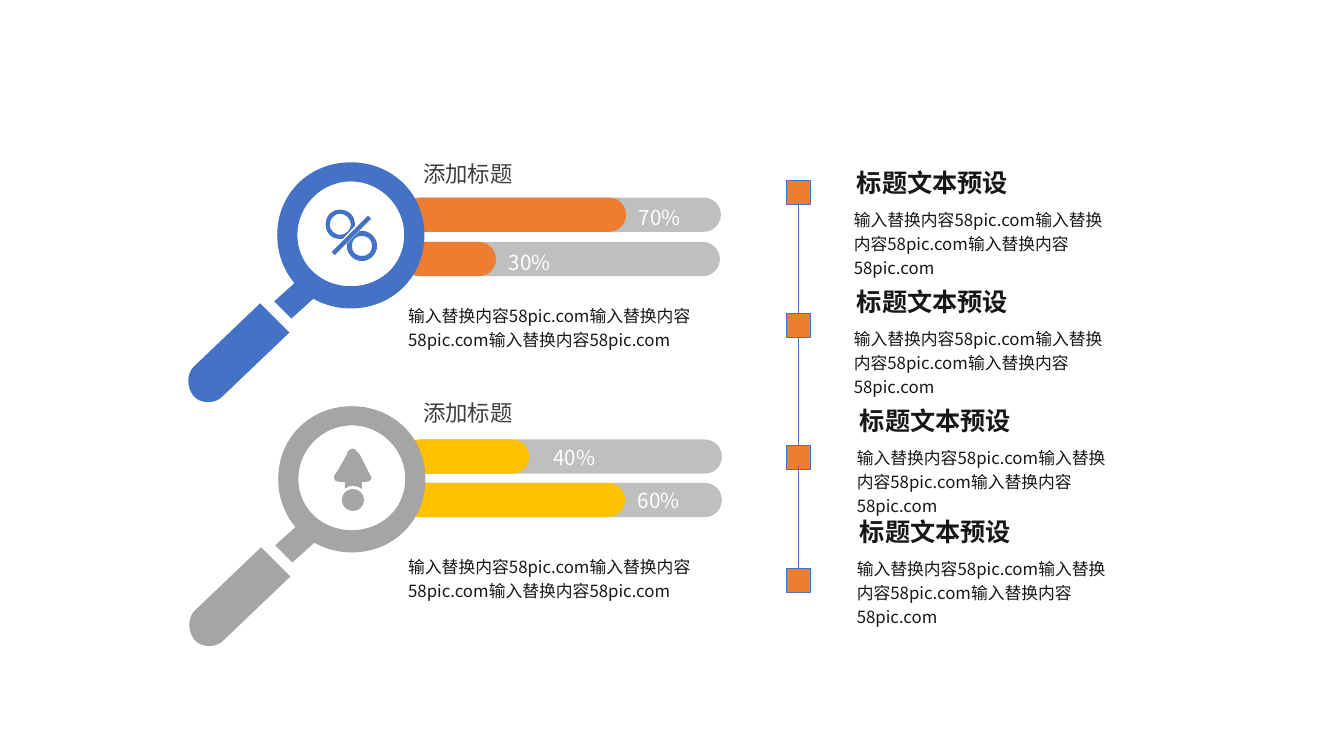
from dataclasses import dataclass

from lxml import etree
from pptx import Presentation
from pptx import util as u
from pptx.dml.color import RGBColor
from pptx.enum import shapes, text
from pptx.oxml.ns import qn


@dataclass(frozen=True)
class Theme:
    font: str = "Noto Sans CJK SC"
    blue: str = "4472C4"
    orange: str = "ED7D31"
    gray: str = "A5A5A5"
    gold: str = "FFC000"
    track: str = "BFBFBF"
    white: str = "FFFFFF"
    heading: str = "404040"
    ink: str = "181717"
    percent_size: float = 14.7
    heading_size: float = 16
    step_size: float = 18
    body_size: float = 12


COLUMNS, ROWS = 13.33, 7.5
theme = Theme()
prs = Presentation()
prs.slide_width, prs.slide_height = u.Inches(COLUMNS), u.Inches(ROWS)
cell = prs.slide_height / ROWS
slide = prs.slides.add_slide(prs.slide_layouts[6])


def write(parent, words, box, size, color, bold=None, wrap=True, insets=(0.1, 0.05), spacing=None, align=None):
    frame = parent.add_textbox(*[round(v * cell) for v in box]).text_frame
    frame.word_wrap = wrap
    frame.margin_left = frame.margin_right = u.Inches(insets[0])
    frame.margin_top = frame.margin_bottom = u.Inches(insets[1])
    paragraph = frame.paragraphs[0]
    paragraph.line_spacing, paragraph.alignment = spacing, align
    run = paragraph.add_run()
    run.text = words
    run.font.name, run.font.size, run.font.bold = theme.font, u.Pt(size), bold
    run.font.color.rgb = RGBColor.from_string(color)
    etree.SubElement(run.font._element, qn("a:ea")).set("typeface", theme.font)


def outline(parent, contours, dx, dy):
    builder = None
    for start, *pieces in contours:
        x, y = (start[0] + dx) * cell, (start[1] + dy) * cell
        if builder is None:
            builder = parent.build_freeform(x, y)
        else:
            builder.move_to(x, y)
        points = [piece[n:n + 2] for piece in pieces for n in range(0, len(piece), 2)]
        builder.add_line_segments([((px + dx) * cell, (py + dy) * cell) for px, py in points], close=True)
    drawn = builder.convert_to_shape()
    segments = iter(list(drawn._element.iter(qn("a:lnTo"))))
    for start, *pieces in contours:
        for piece in pieces:
            segment = next(segments)
            if len(piece) == 6:
                segment.tag = qn("a:cubicBezTo")
                for follower in (next(segments), next(segments)):
                    segment.append(follower[0])
                    follower.getparent().remove(follower)
    return drawn


bars = [
    ("70%", 4, 4, 1.96, 2.21, theme.orange, 6.19, 1.94, 0.71),
    ("30%", 3.99, 3.99, 2.4, 0.93, theme.orange, 4.9, 2.39, 0.71),
    ("40%", 4.01, 3.99, 4.36, 1.26, theme.gold, 5.22, 4.32, 0.95),
    ("60%", 4.01, 3.99, 4.79, 2.21, theme.gold, 6.18, 4.75, 0.71),
]
for percent, track_x, value_x, bar_y, value_width, value_color, label_x, label_y, label_width in bars:
    bar = slide.shapes.add_group_shape().shapes
    for x, width, color in [(track_x, 3.15, theme.track), (value_x, value_width, value_color)]:
        pill = bar.add_shape(shapes.MSO_SHAPE.ROUNDED_RECTANGLE,
                             *[round(v * cell) for v in (x, bar_y, width, 0.34)])
        pill.adjustments[0] = 0.5
        pill.shadow.inherit = False
        pill.fill.solid()
        pill.fill.fore_color.rgb = RGBColor.from_string(color)
        pill.line.fill.background()
    write(bar, percent, (label_x, label_y, label_width, 0.38), theme.percent_size, theme.white,
          insets=(0, 0.04), spacing=1.2, align=text.PP_ALIGN.CENTER)

neck = [[(3.18, 2.9), (2.89, 3.16), (2.72, 2.99), (3.02, 2.72)]]
ring = [
    [(3.48, 1.61), (3.07, 1.61, 2.75, 1.92, 2.75, 2.33), (2.75, 2.75, 3.07, 3.06, 3.48, 3.06),
     (3.89, 3.06, 4.21, 2.75, 4.21, 2.33), (4.21, 1.92, 3.89, 1.61, 3.48, 1.61)],
    [(3.48, 2.84), (3.19, 2.84, 2.95, 2.63, 2.95, 2.33), (2.95, 2.04, 3.19, 1.8, 3.48, 1.8),
     (3.77, 1.8, 4.01, 2.04, 4.01, 2.33), (4.01, 2.63, 3.77, 2.84, 3.48, 2.84)],
]
grip = [[(2.58, 3.01), (1.92, 3.64), (1.85, 3.71, 1.85, 3.84, 1.92, 3.93),
         (1.99, 4.01, 2.14, 4.01, 2.21, 3.93), (2.87, 3.3)]]
lower_zero = [
    [(3.59, 2.29), (3.57, 2.29), (3.44, 2.42), (3.44, 2.44), (3.44, 2.52, 3.51, 2.59, 3.59, 2.59),
     (3.67, 2.59, 3.74, 2.52, 3.74, 2.44), (3.74, 2.36, 3.67, 2.29, 3.59, 2.29)],
    [(3.59, 2.54), (3.53, 2.54, 3.49, 2.5, 3.49, 2.44), (3.49, 2.38, 3.53, 2.34, 3.59, 2.34),
     (3.65, 2.34, 3.69, 2.38, 3.69, 2.44), (3.69, 2.5, 3.65, 2.54, 3.59, 2.54)],
]
upper_zero = [
    [(3.52, 2.23), (3.52, 2.14, 3.46, 2.08, 3.37, 2.08), (3.29, 2.08, 3.23, 2.14, 3.23, 2.23),
     (3.23, 2.31, 3.29, 2.37, 3.37, 2.37), (3.4, 2.37), (3.52, 2.24)],
    [(3.37, 2.33), (3.32, 2.33, 3.27, 2.28, 3.27, 2.23), (3.27, 2.17, 3.32, 2.12, 3.37, 2.12),
     (3.43, 2.12, 3.48, 2.17, 3.48, 2.23), (3.48, 2.28, 3.43, 2.33, 3.37, 2.33)],
]
slash = [[(3.68, 2.17), (3.32, 2.53), (3.29, 2.5), (3.65, 2.14)]]
arrow = [[(3.65, 2.25), (3.57, 2.09), (3.54, 2.06), (3.52, 2.02, 3.48, 2.02, 3.45, 2.06), (3.44, 2.09),
          (3.35, 2.25), (3.32, 2.29), (3.3, 2.33, 3.32, 2.36, 3.37, 2.36), (3.42, 2.36), (3.42, 2.43),
          (3.44, 2.41, 3.47, 2.4, 3.5, 2.4), (3.53, 2.4, 3.56, 2.41, 3.59, 2.43), (3.59, 2.36),
          (3.63, 2.36), (3.68, 2.36, 3.7, 2.32, 3.67, 2.29)]]
dot = [[(3.5, 2.43), (3.44, 2.43, 3.39, 2.48, 3.39, 2.54), (3.39, 2.6, 3.44, 2.65, 3.5, 2.65),
        (3.56, 2.65, 3.61, 2.6, 3.61, 2.54), (3.61, 2.48, 3.56, 2.43, 3.5, 2.43)]]

body = "输入替换内容58pic.com" * 3
lenses = [
    (theme.blue, 0, 0, [lower_zero, upper_zero, slash], 1.54, 2.94),
    (theme.gray, 0.01, 2.42, [arrow, dot], 3.91, 5.43),
]
for color, dx, dy, icon, heading_y, body_y in lenses:
    lens = slide.shapes.add_group_shape().shapes
    parts = [outline(lens, part, dx, dy) for part in (neck, ring, grip)]
    parts += [outline(lens, part, 0, dy) for part in icon]
    for part in parts:
        part.shadow.inherit = False
        part.fill.solid()
        part.fill.fore_color.rgb = RGBColor.from_string(color)
        part.line.fill.background()
    write(slide.shapes, "添加标题", (4.1, heading_y, 1.1, 0.37), theme.heading_size, theme.heading, wrap=False)
    write(slide.shapes, body, (3.95, body_y, 3.07, 0.56), theme.body_size, theme.ink, spacing=1.2)

steps = [
    (1.79, 2.03, 8.4, 1.61),
    (3.11, 3.34, 8.4, 2.79),
    (4.42, 4.62, 8.43, 3.97),
    (5.64, None, 8.43, 5.07),
]
for marker_y, link_y, step_x, step_y in steps:
    marker = slide.shapes.add_shape(shapes.MSO_SHAPE.RECTANGLE,
                                    *[round(v * cell) for v in (7.8, marker_y, 0.24, 0.24)])
    marker.shadow.inherit = False
    marker.fill.solid()
    marker.fill.fore_color.rgb = RGBColor.from_string(theme.orange)
    marker.line.color.rgb = RGBColor.from_string(theme.blue)
    marker.line.width = u.Pt(1)
    if link_y:
        link = slide.shapes.add_connector(shapes.MSO_CONNECTOR.STRAIGHT,
                                          *[round(v * cell) for v in (7.92, link_y, 7.92, link_y + 1.08)])
        link.line.color.rgb = RGBColor.from_string(theme.blue)
        link.line.width = u.Pt(0.5)
        etree.SubElement(link._element.spPr, qn("a:effectLst"))
    write(slide.shapes, body, (step_x - 0.03, step_y + 0.38, 2.77, 0.61), theme.body_size, theme.ink, spacing=1.2)
    write(slide.shapes, "标题文本预设", (step_x, step_y, 1.72, 0.38), theme.step_size, theme.ink,
          bold=True, wrap=False)

prs.save("out.pptx")
